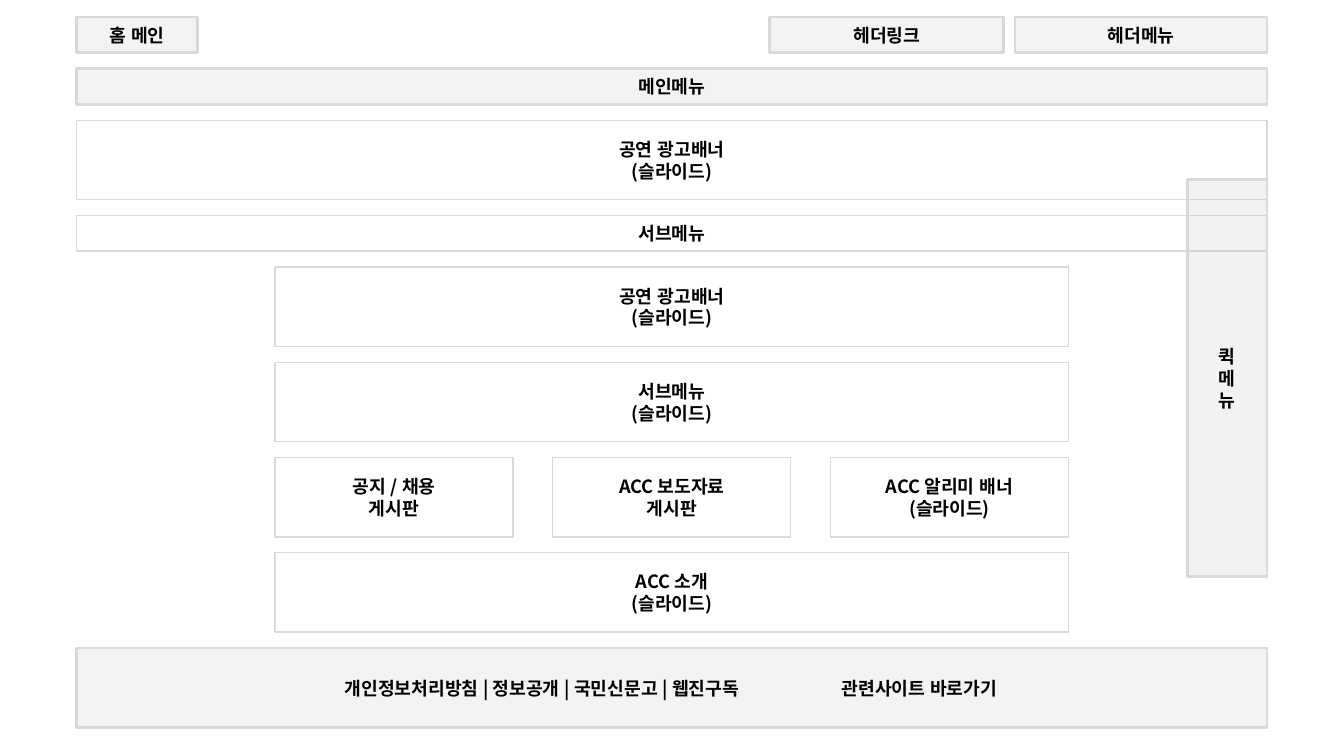
import pptx
import pptx.util
import pptx.dml.color
import pptx.enum.lang
import pptx.enum.shapes
import pptx.enum.text
import pptx.oxml
import pptx.oxml.ns
import lxml.etree

Cm = pptx.util.Cm
Pt = pptx.util.Pt
qn = pptx.oxml.ns.qn
WHITE = pptx.dml.color.RGBColor(0xFF, 0xFF, 0xFF)
GRAY = pptx.dml.color.RGBColor(0xD9, 0xD9, 0xD9)
DARK = pptx.dml.color.RGBColor(0xBF, 0xBF, 0xBF)
BLACK = pptx.dml.color.RGBColor(0, 0, 0)
FACE = "Noto Sans CJK KR"
FONT = {
    "name": FACE,
    "size": Pt(13),
    "bold": True,
    "language_id": pptx.enum.lang.MSO_LANGUAGE_ID.KOREAN,
}
FRAME = {
    "word_wrap": True,
    "vertical_anchor": pptx.enum.text.MSO_ANCHOR.MIDDLE,
}

deck = pptx.Presentation()
deck.slide_width = Cm(33.87)
deck.slide_height = Cm(19.05)
slide = deck.slides.add_slide(deck.slide_layouts[6])


def add_box(text, left, top, width, height, fill=WHITE, alpha=100, line=1):
    box = slide.shapes.add_shape(
        pptx.enum.shapes.MSO_SHAPE.RECTANGLE,
        Cm(left), Cm(top), Cm(width), Cm(height))
    box.shadow.inherit = False
    box.fill.solid()
    box.fill.fore_color.rgb = fill
    if alpha < 100:
        color = box.fill._xPr.find(qn("a:solidFill"))[0]
        lxml.etree.SubElement(color, qn("a:alpha")).set("val", str(alpha * 1000))
    box.line.color.rgb = GRAY
    box.line.width = Pt(line)
    frame = box.text_frame
    frame.text = text
    for key, value in FRAME.items():
        setattr(frame, key, value)
    for para in frame.paragraphs:
        para.alignment = pptx.enum.text.PP_ALIGN.CENTER
        for run in para.runs:
            for key, value in FONT.items():
                setattr(run.font, key, value)
            run.font.color.rgb = BLACK
            east = lxml.etree.SubElement(run.font._element, qn("a:ea"))
            east.set("typeface", FACE)
    return box


LEFT, WIDE = 1.93, 30
INNER, BODY = 6.93, 20
LOW, HIGH, GAP = 0.9, 2, 0.4
CARD, STEP = 6, 7
TINT = {"fill": GRAY, "alpha": 30, "line": 2}

FOOT = "개인정보처리방침 | 정보공개 | 국민신문고 | 웹진구독\t관련사이트 바로가기"
cards = ["공지 / 채용\n게시판", "ACC 보도자료\n게시판", "ACC 알리미 배너\n(슬라이드)"]
rows = [
    (LOW, TINT, [("홈 메인", LEFT, 3.05), ("헤더링크", 19.4, 5.9),
                 ("헤더메뉴", 25.58, 6.35)]),
    (LOW, TINT, [("메인메뉴", LEFT, WIDE)]),
    (HIGH, {}, [("공연 광고배너\n(슬라이드)", LEFT, WIDE)]),
    (LOW, {}, [("서브메뉴", LEFT, WIDE)]),
    (HIGH, {}, [("공연 광고배너\n(슬라이드)", INNER, BODY)]),
    (HIGH, {}, [("서브메뉴\n(슬라이드)", INNER, BODY)]),
    (HIGH, {}, [(card, INNER + STEP * i, CARD) for i, card in enumerate(cards)]),
    (HIGH, {}, [("ACC 소개\n(슬라이드)", INNER, BODY)]),
    (HIGH, TINT, [(FOOT, LEFT, WIDE)]),
]

top = 0.43
for height, style, boxes in rows:
    for text, left, width in boxes:
        box = add_box(text, left, top, width, height, **style)
    top += height + GAP

box.text_frame.margin_left = Cm(6.76)
para = box.text_frame.paragraphs[0]
para.alignment = pptx.enum.text.PP_ALIGN.LEFT
tabs = lxml.etree.SubElement(para._p.get_or_add_pPr(), qn("a:tabLst"))
tab = lxml.etree.SubElement(tabs, qn("a:tab"))
tab.set("pos", str(Cm(12.52)))
tab.set("algn", "l")

add_box("퀵\n메\n뉴", 29.93, 4.53, 2, 10, DARK, 20, 2)

deck.save("out.pptx")
